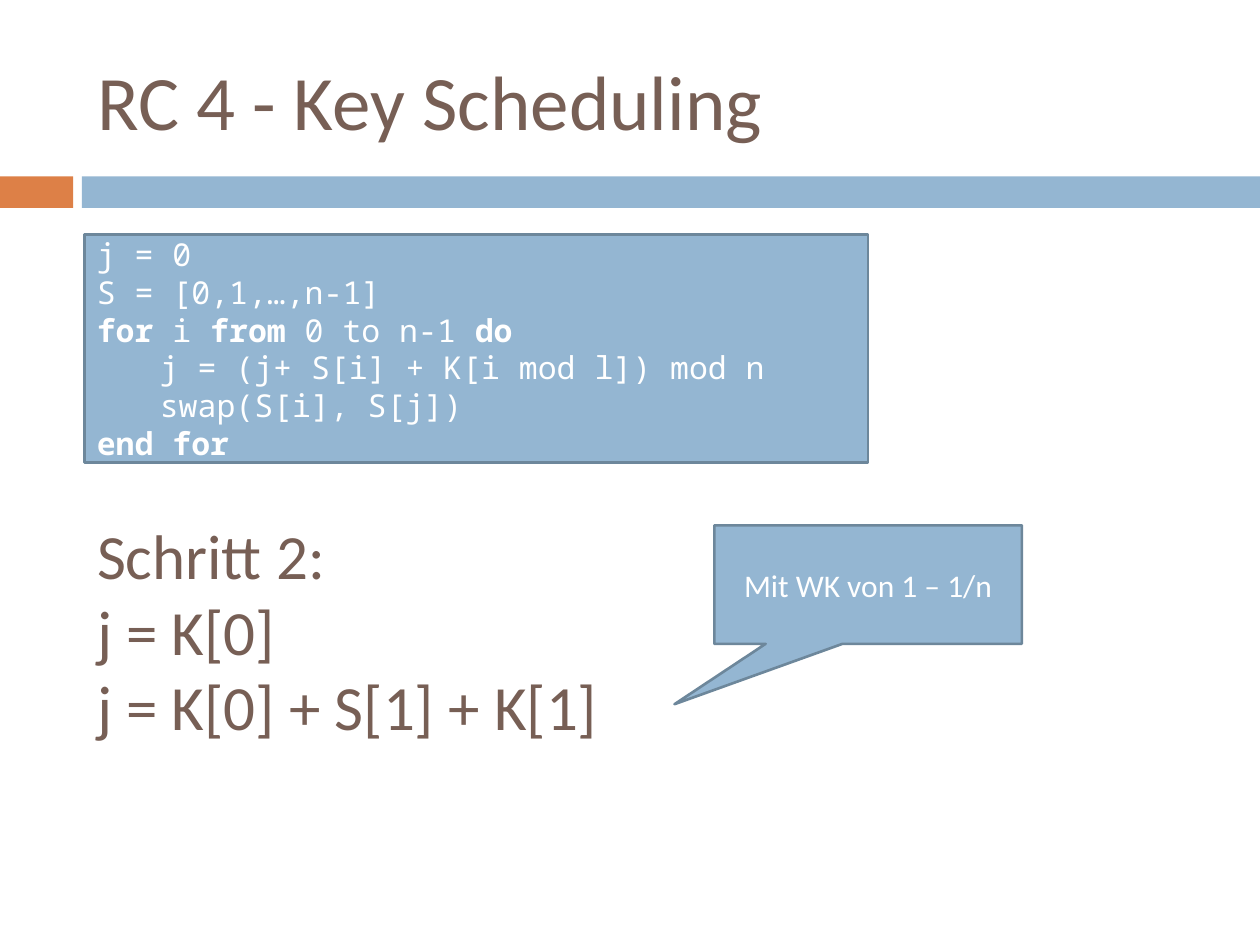
"""Build the slide on RC 4 key scheduling."""
import pptx
import pptx.dml.color
import pptx.enum.shapes
import pptx.enum.text
import pptx.oxml
import pptx.util

Pt = pptx.util.Pt
RGBColor = pptx.dml.color.RGBColor
Shape = pptx.enum.shapes.MSO_SHAPE
Anchor = pptx.enum.text.MSO_ANCHOR
Align = pptx.enum.text.PP_ALIGN

BROWN = RGBColor(0x77, 0x5F, 0x55)
BLUE = RGBColor(0x94, 0xB6, 0xD2)
DARK_BLUE = RGBColor(0x6D, 0x87, 0x9B)
ORANGE = RGBColor(0xDD, 0x80, 0x47)
WHITE = RGBColor(0xFF, 0xFF, 0xFF)

TITLE = ["RC 4 - Key Scheduling"]
CODE = [
    "j = 0",
    "S = [0,1,…,n-1]",
    [("for ", True), ("i ", False), ("from", True), (" 0 to n-1 ", False), ("do", True)],
    "\tj = (j+ S[i] + K[i mod l]) mod n",
    "\tswap(S[i], S[j])",
    [("end for", True)],
]
STEP = ["Schritt 2:", "j = K[0]", "j = K[0] + S[1] + K[1]"]
NOTE = ["Mit WK von 1 – 1/n"]

PAGE_WIDTH, PAGE_HEIGHT = 720, 540
LEFT = 48.24
BAND_TOP, BAND_HEIGHT = 100.8, 18
ORANGE_WIDTH, BLUE_LEFT = 41.76, 46.8


def place(box, left, top, width, height):
    box.left, box.top, box.width, box.height = Pt(left), Pt(top), Pt(width), Pt(height)


def write(box, lines, size, color, font="Calibri", align=Align.LEFT,
          anchor=Anchor.MIDDLE, spacing=1.0):
    frame = box.text_frame
    frame.word_wrap = True
    frame.auto_size = pptx.enum.text.MSO_AUTO_SIZE.NONE
    frame.vertical_anchor = anchor
    for number, line in enumerate(lines):
        para = frame.add_paragraph() if number else frame.paragraphs[0]
        para.alignment = align
        para.line_spacing = spacing
        para.space_before = para.space_after = Pt(0)
        for text, bold in [(line, False)] if isinstance(line, str) else line:
            span = para.add_run()
            span.text = text
            span.font.name, span.font.size = font, Pt(size)
            span.font.bold, span.font.color.rgb = bold, color


def remove_bullets(box):
    for para in box.text_frame.paragraphs:
        properties = para._p.get_or_add_pPr()
        properties.set("marL", "0")
        properties.set("indent", "0")
        properties.append(pptx.oxml.parse_xml(
            '<a:buNone xmlns:a="http://schemas.openxmlformats.org/drawingml/2006/main"/>'))


def add_box(page, kind, bounds, fill, line=None):
    box = page.shapes.add_shape(kind, *map(Pt, bounds))
    box.shadow.inherit = False
    box.fill.solid()
    box.fill.fore_color.rgb = fill
    if line is None:
        box.line.fill.background()
    else:
        box.line.color.rgb = line
        box.line.width = Pt(1.5)
    return box


def main():
    deck = pptx.Presentation()
    deck.slide_width, deck.slide_height = Pt(PAGE_WIDTH), Pt(PAGE_HEIGHT)
    page = deck.slides.add_slide(deck.slide_layouts[1])

    for left, right, color in [(0, ORANGE_WIDTH, ORANGE), (BLUE_LEFT, PAGE_WIDTH, BLUE)]:
        add_box(page, Shape.RECTANGLE, (left, BAND_TOP, right - left, BAND_HEIGHT), color)

    title = page.shapes.title
    place(title, LEFT, 18, 642.24, 77.76)
    write(title, TITLE, 44, BROWN)

    code = add_box(page, Shape.RECTANGLE, (LEFT, 133.92, 447.84, 130.32), BLUE, DARK_BLUE)
    write(code, CODE, 18, WHITE, font="Noto Sans Mono", spacing=Pt(21.6))

    step = page.placeholders[1]
    place(step, LEFT, 291.6, 459.36, 177.12)
    write(step, STEP, 36, BROWN, anchor=Anchor.TOP)
    remove_bullets(step)

    note = add_box(page, Shape.RECTANGULAR_CALLOUT, (408.24, 300.24, 175.68, 67.68),
                   BLUE, DARK_BLUE)
    note.adjustments[0], note.adjustments[1] = -0.63, 1.01
    write(note, NOTE, 18, WHITE, align=Align.CENTER)

    deck.save("out.pptx")


if __name__ == "__main__":
    main()
